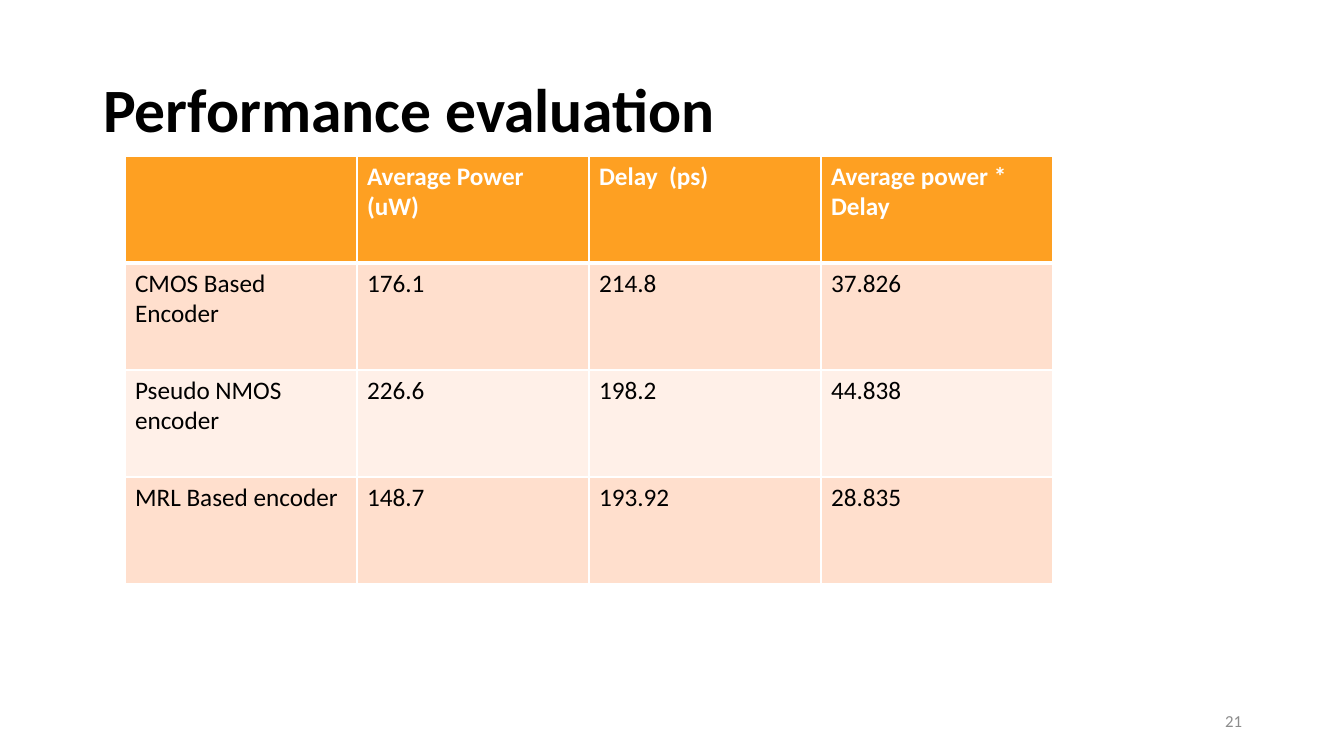
from pptx import Presentation
from pptx.dml.color import RGBColor as RGB
from pptx.enum.text import MSO_ANCHOR as Anchor, PP_ALIGN as Align
from pptx.oxml.ns import qn
from pptx.util import Pt
from lxml.etree import SubElement as Sub

# Content
TITLE = "Performance evaluation"
NUMBER = "21"
ROWS = [
    ("", "Average Power (uW)", "Delay  (ps)", "Average power * Delay"),
    ("CMOS Based Encoder", "176.1", "214.8", "37.826"),
    ("Pseudo NMOS encoder", "226.6", "198.2", "44.838"),
    ("MRL Based encoder", "148.7", "193.92", "28.835"),
]

# Look, lengths in px
FONT = "Calibri"
BLACK, WHITE, GREY = "000000", "FFFFFF", "8C8C8C"
HEAD, BANDS = "FEA022", ("FFF0E8", "FFDFCD")
SLIDE = (1344, 756)
TITLE_BOX = (93, 40, 1159, 146)
NUMBER_BOX = (950, 701, 302, 40)
LEFT, TOP, COL, ROW = 125, 156, 232, 107
SCALE = 914400 / 100.8


def px(n):
    return round(n * SCALE)


def color(text):
    return RGB.from_string(text)


def place(shape, box):
    shape.left, shape.top, shape.width, shape.height = map(px, box)


def style(frame, size, tone, bold=False):
    for para in frame.paragraphs:
        for run in para.runs:
            font = run.font
            font.name, font.size, font.bold = FONT, Pt(size), bold
            font.color.rgb = color(tone)


def border(cell, side, width):
    props = cell._tc.get_or_add_tcPr()
    line = Sub(props, qn("a:ln" + side), w=str(Pt(width)))
    fill = Sub(line, qn("a:solidFill"))
    Sub(fill, qn("a:srgbClr"), val=WHITE)


deck = Presentation()
deck.slide_width, deck.slide_height = map(px, SLIDE)
slide = deck.slides.add_slide(deck.slide_layouts[5])

# Title
title = slide.shapes.title
place(title, TITLE_BOX)
frame = title.text_frame
frame.text = TITLE
frame.vertical_anchor = Anchor.MIDDLE
frame.paragraphs[0].alignment = Align.LEFT
frame.paragraphs[0].line_spacing = 0.9
style(frame, 44, BLACK, True)

# Slide number
number = slide.shapes.add_textbox(*map(px, NUMBER_BOX))
frame = number.text_frame
frame.word_wrap = True
frame.text = NUMBER
frame.vertical_anchor = Anchor.MIDDLE
frame.paragraphs[0].alignment = Align.RIGHT
style(frame, 12, GREY)

# Results table
rows, cols = len(ROWS), len(ROWS[0])
box = (LEFT, TOP, cols * COL, rows * ROW)
table = slide.shapes.add_table(rows, cols, *map(px, box)).table
for col in table.columns:
    col.width = px(COL)
for r, texts in enumerate(ROWS):
    table.rows[r].height = px(ROW)
    head = r == 0
    for c, text in enumerate(texts):
        cell = table.cell(r, c)
        cell.text = text
        style(cell.text_frame, 18, WHITE if head else BLACK, head)
        for side in "LRTB":
            thick = (r, side) in ((0, "B"), (1, "T"))
            border(cell, side, 3 if thick else 1)
        cell.fill.solid()
        cell.fill.fore_color.rgb = color(HEAD if head else BANDS[r % 2])

deck.save("out.pptx")
